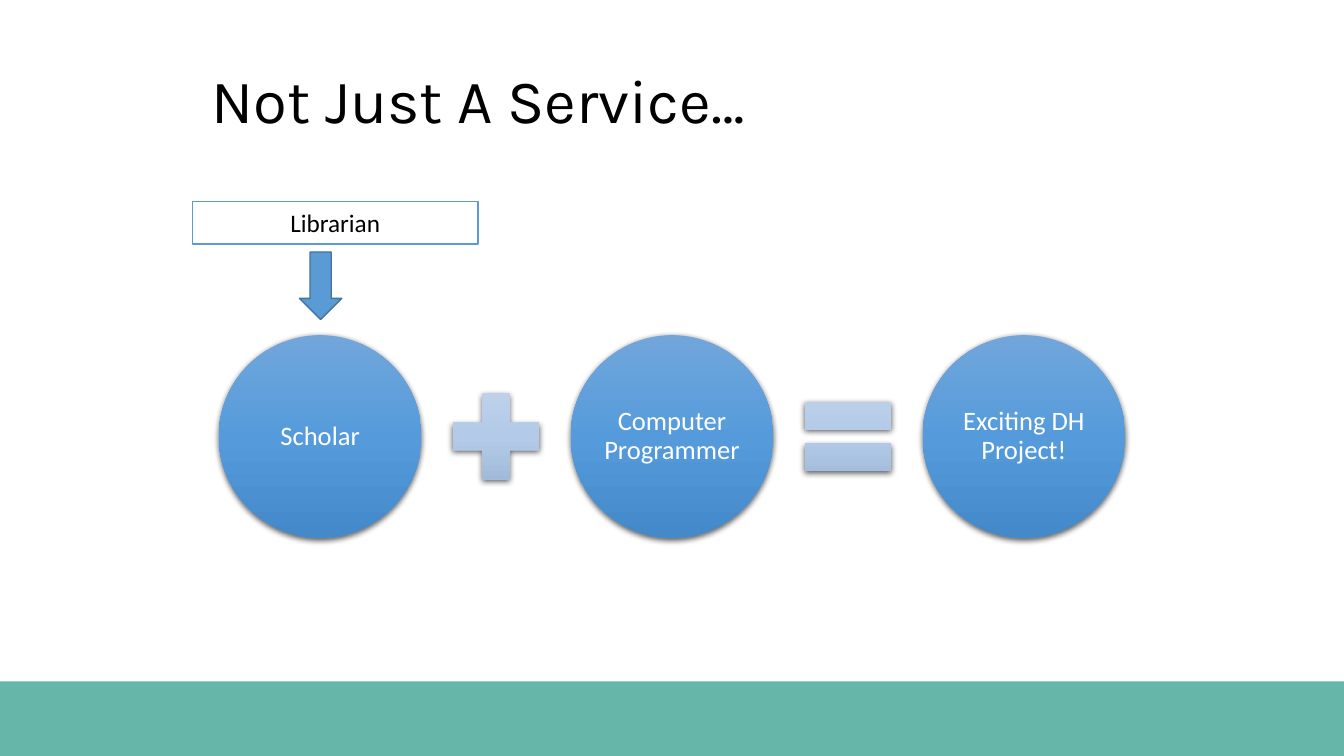
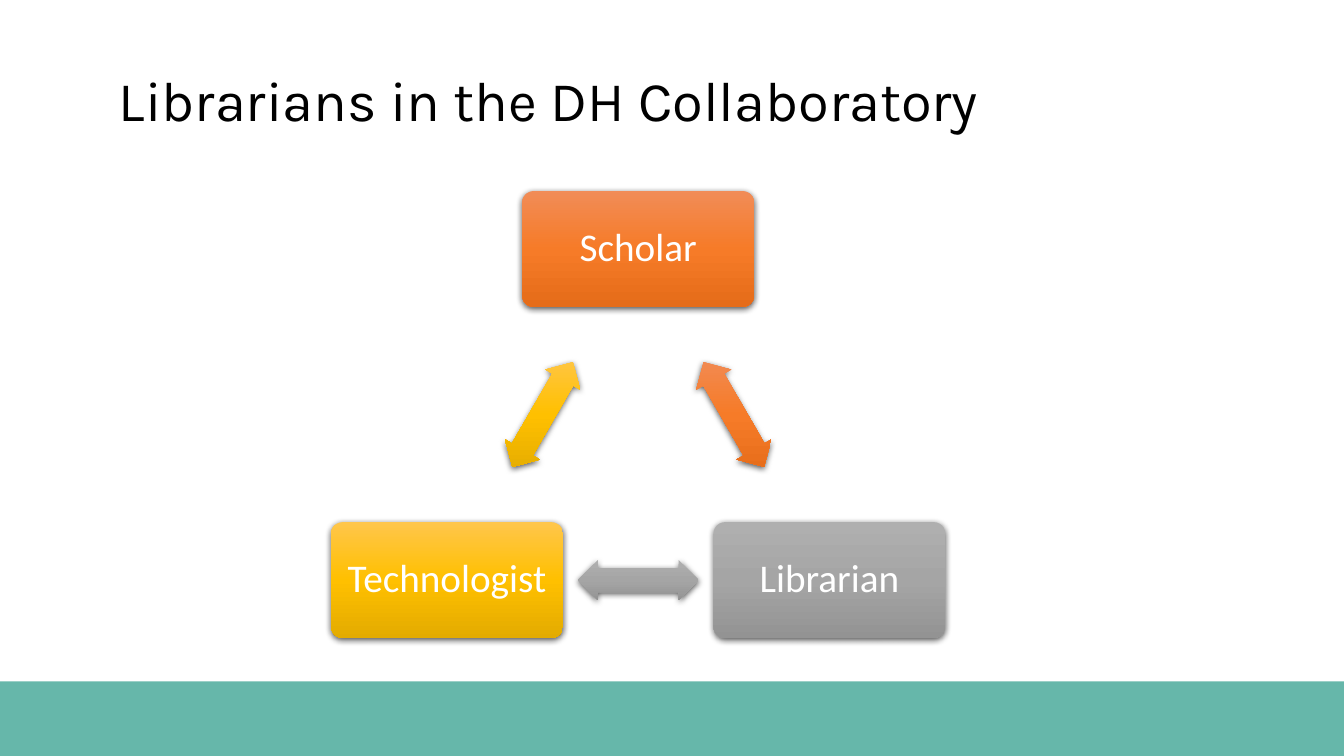
from dataclasses import dataclass
from math import cos, radians, sin

from lxml.etree import SubElement
from pptx import Presentation
from pptx.dml.color import RGBColor
from pptx.enum.shapes import MSO_SHAPE as Preset
from pptx.enum.text import MSO_ANCHOR as Anchor, MSO_AUTO_SIZE as AutoSize, PP_ALIGN as Align
from pptx.oxml import parse_xml
from pptx.oxml.ns import nsdecls, qn
from pptx.util import Inches, Pt


@dataclass(frozen=True)
class Theme:
    title_font: str = "Karla"
    body_font: str = "Calibri"
    black: str = "000000"
    white: str = "FFFFFF"
    band: str = "319F8D"
    band_opacity: int = 74
    accent: str = "5B9BD5"
    accent_outline: str = "43739E"
    blue: tuple = ("71A6DB", "559BDB", "448ACA")
    pale_blue: tuple = ("C0D2EB", "B3CBE9", "9BB4D3")
    orange: tuple = ("F18C57", "F67B28", "E56C19")
    gray: tuple = ("AFAFAF", "A5A5A5", "939393")
    yellow: tuple = ("FFC64B", "FFC000", "E3AB00")
    label_size: int = 18
    circle_size: int = 19
    box_size: int = 28


THEME = Theme()
SLIDE_WIDTH, SLIDE_HEIGHT = 13.33, 7.5
BAND_TOP = 6.76


def add_plain_shape(slide, preset, left, top, width, height, fill=None, outline=None):
    shape = slide.shapes.add_shape(
        preset, Inches(left), Inches(top), Inches(width), Inches(height))
    shape.shadow.inherit = False
    if fill:
        shape.fill.solid()
        shape.fill.fore_color.rgb = RGBColor.from_string(fill)
    if outline:
        shape.line.color.rgb = RGBColor.from_string(outline)
        shape.line.width = Pt(1)
    else:
        shape.line.fill.background()
    return shape


def add_glossy_shape(slide, preset, center, size, colors):
    (center_x, center_y), (width, height) = center, size
    shape = add_plain_shape(
        slide, preset, center_x - width / 2, center_y - height / 2, width, height)
    stops = "".join(
        f'<a:gs pos="{index * 50000}"><a:srgbClr val="{color}"/></a:gs>'
        for index, color in enumerate(colors))
    gradient = parse_xml(
        f'<a:gradFill {nsdecls("a")} rotWithShape="0"><a:gsLst>{stops}</a:gsLst>'
        '<a:lin ang="5400000" scaled="0"/></a:gradFill>')
    properties = shape.element.spPr
    properties.find(qn("a:prstGeom")).addnext(gradient)
    shadow = parse_xml(
        f'<a:outerShdw {nsdecls("a")} blurRad="{Pt(4.5)}" dist="{Pt(1.5)}" '
        'dir="5400000" algn="ctr" rotWithShape="0">'
        f'<a:srgbClr val="{THEME.black}"><a:alpha val="63000"/></a:srgbClr></a:outerShdw>')
    properties.find(qn("a:effectLst")).append(shadow)
    return shape


def write_text(shape, text, font, size, color, align=Align.CENTER, spacing=0.9, inset=None):
    frame = shape.text_frame
    frame.text = text
    frame.word_wrap = True
    frame.auto_size = AutoSize.NONE
    frame.vertical_anchor = Anchor.MIDDLE
    if inset is not None:
        frame.margin_left = frame.margin_right = Inches(inset)
        frame.margin_top = frame.margin_bottom = Inches(inset)
    paragraph = frame.paragraphs[0]
    paragraph.alignment = align
    paragraph.line_spacing = spacing
    for run in paragraph.runs:
        run.font.name = font
        run.font.size = Pt(size)
        run.font.color.rgb = RGBColor.from_string(color)


def add_titled_slide(presentation, layout, title, left, width, size):
    slide = presentation.slides.add_slide(layout)
    shape = slide.shapes.title
    shape.left, shape.top = Inches(left), Inches(0.55)
    shape.width, shape.height = Inches(width), Inches(0.95)
    write_text(shape, title, THEME.title_font, size, THEME.black, align=Align.LEFT)
    return slide


def move_band_to_layout(slide, layout):
    band = add_plain_shape(slide, Preset.RECTANGLE, 0, BAND_TOP,
                           SLIDE_WIDTH, SLIDE_HEIGHT - BAND_TOP, THEME.band)
    color = band.element.spPr.find(qn("a:solidFill"))[0]
    SubElement(color, qn("a:alpha")).set("val", str(THEME.band_opacity * 1000))
    layout.element.cSld.spTree.insert(2, band.element)


def add_equation(slide):
    circle, operator, gap, center_y = 2.01, 1.16, 0.16, 4.33
    terms = (
        (Preset.OVAL, "Scholar"),
        (Preset.MATH_PLUS, None),
        (Preset.OVAL, "Computer Programmer"),
        (Preset.MATH_EQUAL, None),
        (Preset.OVAL, "Exciting DH Project!"),
    )
    left = 2.17
    for preset, text in terms:
        size = circle if text else operator
        colors = THEME.blue if text else THEME.pale_blue
        shape = add_glossy_shape(
            slide, preset, (left + size / 2, center_y), (size, size), colors)
        if text:
            write_text(shape, text, THEME.body_font, THEME.circle_size, THEME.white, inset=0.03)
        left += size + gap


def add_librarian_callout(slide):
    label = add_plain_shape(slide, Preset.RECTANGLE, 1.91, 2, 2.83, 0.42,
                            THEME.white, THEME.accent)
    write_text(label, "Librarian", THEME.body_font, THEME.label_size, THEME.black, spacing=1.0)
    add_plain_shape(slide, Preset.DOWN_ARROW, 2.97, 2.5, 0.42, 0.67,
                    THEME.accent, THEME.accent_outline)


def add_cycle(slide):
    center_x, center_y, radius = 6.33, 4.66, 2.19
    roles = (("Scholar", THEME.orange), ("Librarian", THEME.gray), ("Technologist", THEME.yellow))
    step = 360 / len(roles)
    angles = [radians(index * step - 90) for index in range(len(roles))]
    corners = [(center_x + radius * cos(angle), center_y + radius * sin(angle))
               for angle in angles]
    for index, (text, colors) in enumerate(roles):
        start, end = corners[index], corners[(index + 1) % len(corners)]
        box = add_glossy_shape(slide, Preset.ROUNDED_RECTANGLE, start, (2.3, 1.15), colors)
        box.adjustments[0] = 0.1
        write_text(box, text, THEME.body_font, THEME.box_size, THEME.white, inset=0.12)
        middle = ((start[0] + end[0]) / 2, (start[1] + end[1]) / 2)
        arrow = add_glossy_shape(slide, Preset.LEFT_RIGHT_ARROW, middle, (1.2, 0.4), colors)
        arrow.adjustments[0] = 0.6
        arrow.adjustments[1] = 0.5
        arrow.rotation = step / 2 + index * step


def main():
    presentation = Presentation()
    presentation.slide_width = Inches(SLIDE_WIDTH)
    presentation.slide_height = Inches(SLIDE_HEIGHT)
    layout = presentation.slide_layouts[5]

    service = add_titled_slide(presentation, layout, "Not Just A Service…", 2, 9.75, 44)
    move_band_to_layout(service, layout)
    add_equation(service)
    add_librarian_callout(service)

    collaboratory = add_titled_slide(
        presentation, layout, "Librarians in the DH Collaboratory", 1.08, 11.58, 40)
    add_cycle(collaboratory)

    presentation.save("out.pptx")


if __name__ == "__main__":
    main()
